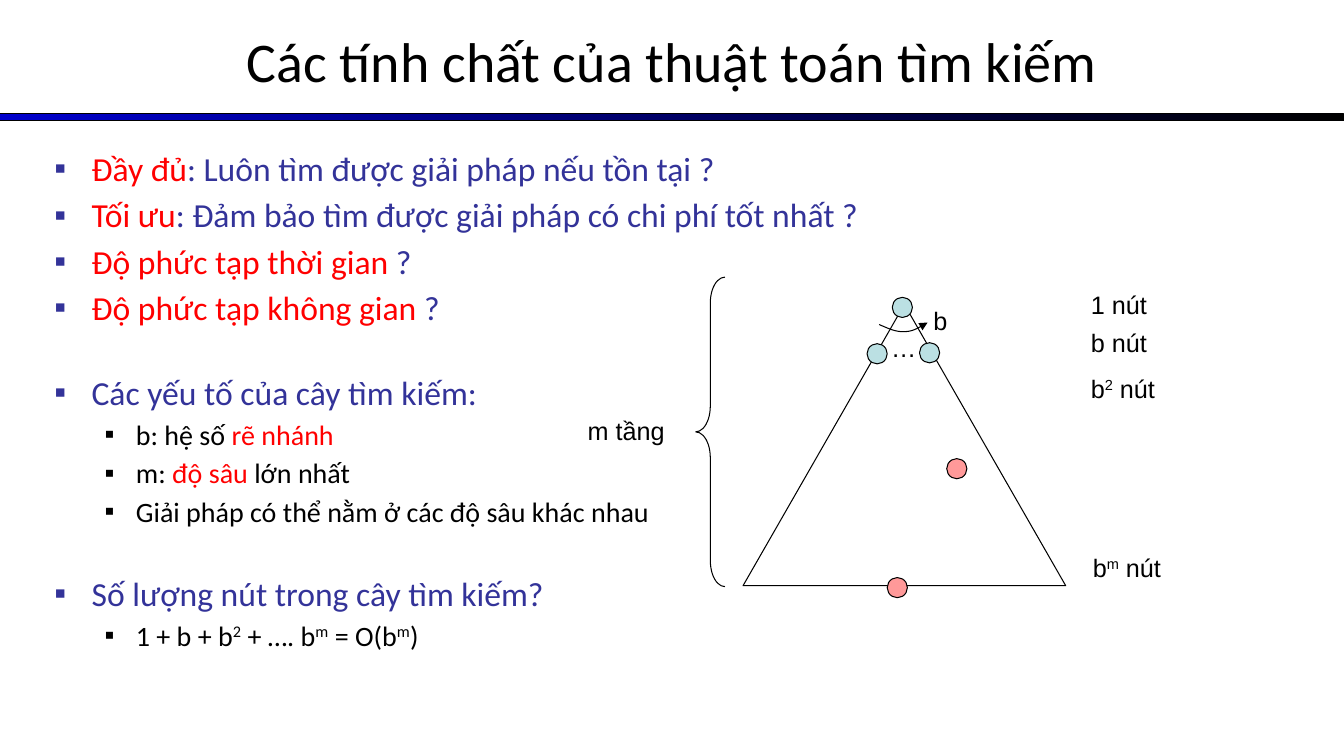
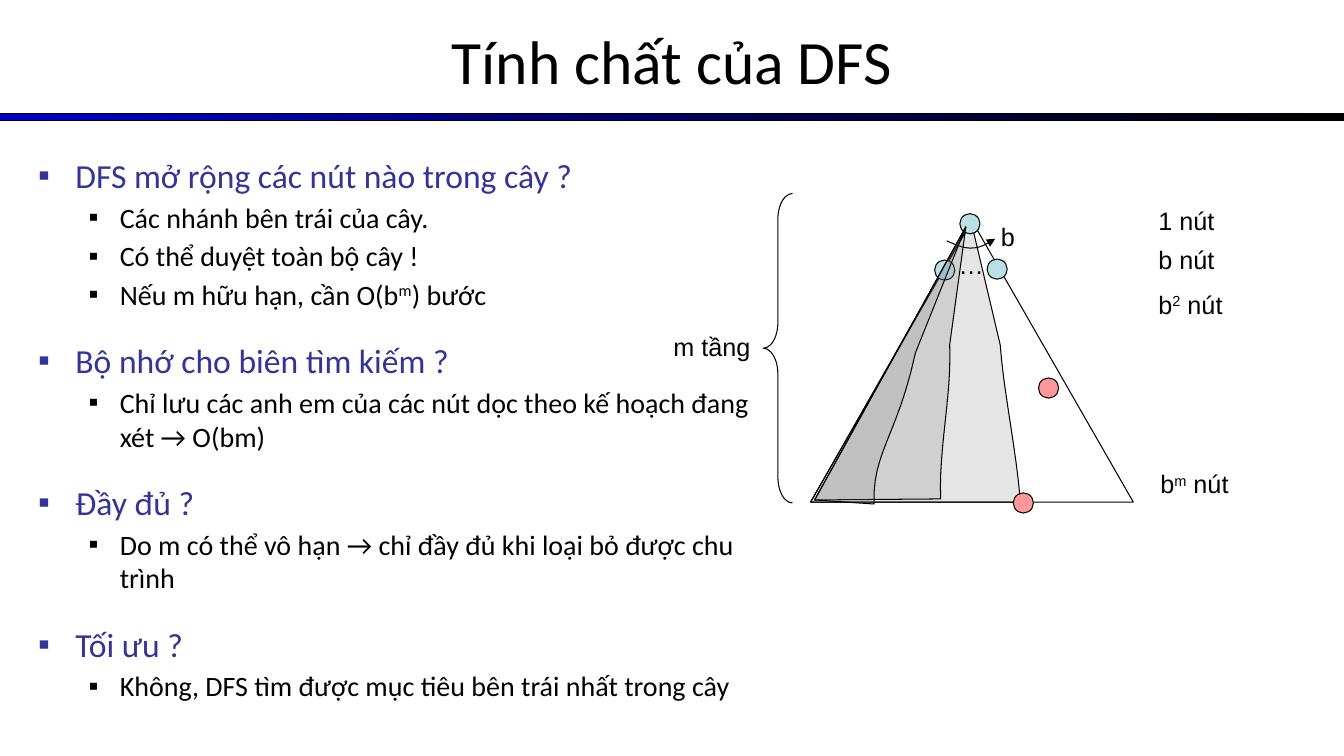
from lxml.etree import SubElement
from pptx import Presentation
from pptx.dml.color import RGBColor
from pptx.enum.shapes import MSO_SHAPE as Shape
from pptx.enum.text import MSO_ANCHOR as Anchor, PP_ALIGN as Align
from pptx.oxml.ns import qn
from pptx.util import Inches, Pt

COLORS = {
    "black": "000000",
    "band": "0000CC",
    "heading": "333399",
    "key": "FF0000",
    "node": "BBE0E3",
    "goal": "FF9999",
    "explored": "808080",
}
RGB = {name: RGBColor.from_string(value) for name, value in COLORS.items()}
LEVELS = [
    {"size": 24, "color": "heading", "margin": 0.37, "indent": -0.37, "before": 4.2},
    {"size": 20, "color": "black", "margin": 0.81, "indent": -0.31, "before": 3.5},
]
CURVE_STEPS = 12


def write(para, text, font, size, color):
    para.font.name = font
    para.font.size = Pt(size)
    para.font.color.rgb = RGB[color]
    for key_index, part in enumerate(text.split("*")):
        for raised_index, piece in enumerate(part.split("^")):
            if not piece:
                continue
            span = para.add_run()
            span.text = piece
            if key_index % 2:
                span.font.color.rgb = RGB["key"]
            if raised_index % 2:
                span._r.get_or_add_rPr().set("baseline", "30000")


def outline(page, start, segments, close):
    points = [start]
    for segment in segments:
        if len(segment) == 1:
            points += segment
            continue
        (x0, y0), ((x1, y1), (x2, y2), (x3, y3)) = points[-1], segment
        for step in range(1, CURVE_STEPS + 1):
            t = step / CURVE_STEPS
            u = 1 - t
            points.append((
                u**3 * x0 + 3 * u * u * t * x1 + 3 * u * t * t * x2 + t**3 * x3,
                u**3 * y0 + 3 * u * u * t * y1 + 3 * u * t * t * y2 + t**3 * y3,
            ))
    corners = [(Inches(x), Inches(y)) for x, y in points]
    builder = page.shapes.build_freeform(*corners[0])
    builder.add_line_segments(corners[1:], close=close)
    shape = builder.convert_to_shape()
    shape.shadow.inherit = False
    shape.line.color.rgb = RGB["black"]
    shape.line.width = Pt(0.75)
    if close:
        shape.fill.solid()
        shape.fill.fore_color.rgb = RGB["explored"]
        color = shape._element.spPr.find(qn("a:solidFill")).find(qn("a:srgbClr"))
        SubElement(color, qn("a:alpha"), val="20000")
    else:
        shape.fill.background()
    return shape


SLIDES = [
    {
        "title": "Các tính chất của thuật toán tìm kiếm",
        "title_size": 40,
        "body": (0.44, 1.42, 12.44, 5.17),
        "gap": 28,
        "sections": [
            ["*Đầy đủ*: Luôn tìm được giải pháp nếu tồn tại ?"],
            ["*Tối ưu*: Đảm bảo tìm được giải pháp có chi phí tốt nhất ?"],
            ["*Độ phức tạp thời gian *?"],
            ["*Độ phức tạp không gian *?"],
            ["Các yếu tố của cây tìm kiếm:", "b: hệ số *rẽ nhánh*",
             "m: *độ sâu *lớn nhất", "Giải pháp có thể nằm ở các độ sâu khác nhau"],
            ["Số lượng nút trong cây tìm kiếm?", "1 + b + b^2^ + …. b^m^ = O(b^m^)"],
        ],
        "spaced_from": 4,
        "tree": (7.37, 3.02),
        "goals": [(8.8, 5.73), (9.39, 4.55)],
        "depth_label": (5.73, 4.07),
        "back": [],
        "front": [],
    },
    {
        "title": "Tính chất của DFS",
        "title_size": 44,
        "body": (0.28, 1.49, 7.45, 5.17),
        "gap": 16.7,
        "sections": [
            ["DFS mở rộng các nút nào trong cây ?", "Các nhánh bên trái của cây.",
             "Có thể duyệt toàn bộ cây !", "Nếu m hữu hạn, cần O(b^m^) bước"],
            ["Bộ nhớ cho biên tìm kiếm ?",
             "Chỉ lưu các anh em của các nút dọc theo kế hoạch đang xét → O(bm)"],
            ["Đầy đủ ?", "Do m có thể vô hạn → chỉ đầy đủ khi loại bỏ được chu trình"],
            ["Tối ưu ?", "Không, DFS tìm được mục tiêu bên trái nhất trong cây"],
        ],
        "spaced_from": 1,
        "tree": (8.04, 2.19),
        "goals": [(10.05, 4.89), (10.3, 3.75)],
        "depth_label": (6.58, 3.24),
        "back": [
            ((8.04, 4.98), [[(10.12, 4.98)],
                            [(10.08, 4.46), (9.96, 3.93), (9.92, 3.42)],
                            [(9.63, 2.19)]]),
        ],
        "front": [
            ((8.08, 4.96), [[(9.33, 4.95)],
                            [(9.31, 4.44), (9.44, 3.93), (9.42, 3.42)],
                            [(9.58, 2.25)]]),
            ((8.08, 4.96), [[(8.67, 5)],
                            [(8.65, 4.49), (8.9, 4.33), (9.08, 3.5)],
                            [(9.58, 2.25)]]),
        ],
    },
]
NODES = [(1.48, -0.07), (1.23, 0.39), (1.75, 0.38)]
TREE_LABELS = [
    ("…", 1.37, 0.23, 0.3),
    ("b", 1.79, -0.04, 0.33),
    ("1 nút", 3.35, -0.2, 1.22),
    ("b nút", 3.35, 0.18, 1.22),
    ("b^2^ nút", 3.35, 0.63, 1.22),
    ("b^m^ nút", 3.37, 2.41, 1.6),
]
ARC = [(1.35, 0.2), (1.44, 0.24), (1.53, 0.28), (1.61, 0.27),
       (1.69, 0.27), (1.76, 0.22), (1.83, 0.18)]

deck = Presentation()
deck.slide_width = Inches(13.33)
deck.slide_height = Inches(7.5)

for content in SLIDES:
    page = deck.slides.add_slide(deck.slide_layouts[6])

    band = page.shapes.add_shape(Shape.RECTANGLE, 0, Inches(1.13), deck.slide_width, Inches(0.07))
    band.shadow.inherit = False
    band.fill.gradient()
    band.fill.gradient_angle = 0
    for stop, name in zip(band.fill.gradient_stops, ("band", "black")):
        stop.color.rgb = RGB[name]
    band.line.color.rgb = RGB["black"]
    band.line.width = Pt(0.75)

    title = page.shapes.add_textbox(0, Inches(-0.03), deck.slide_width, Inches(1.25))
    title.text_frame.word_wrap = True
    title.text_frame.vertical_anchor = Anchor.MIDDLE
    para = title.text_frame.paragraphs[0]
    para.alignment = Align.CENTER
    write(para, content["title"], "Calibri", content["title_size"], "black")

    body = page.shapes.add_textbox(*map(Inches, content["body"]))
    body.text_frame.word_wrap = True
    for section_index, section in enumerate(content["sections"]):
        for line_index, text in enumerate(section):
            first = section_index == line_index == 0
            para = body.text_frame.paragraphs[0] if first else body.text_frame.add_paragraph()
            para.level = min(line_index, 1)
            style = LEVELS[para.level]
            if not first:
                spaced = line_index == 0 and section_index >= content["spaced_from"]
                para.space_before = Pt(style["before"] + (content["gap"] if spaced else 0))
            props = para._p.get_or_add_pPr()
            props.set("marL", str(Inches(style["margin"])))
            props.set("indent", str(Inches(style["indent"])))
            bullet_color = SubElement(props, qn("a:buClr"))
            SubElement(bullet_color, qn("a:srgbClr"), val=COLORS[style["color"]])
            SubElement(props, qn("a:buFont"), typeface="Arial")
            SubElement(props, qn("a:buChar"), char="▪")
            write(para, text, "Calibri", style["size"], style["color"])

    for start, segments in content["back"]:
        outline(page, start, segments, True)

    left, top = content["tree"]
    parts = [(Shape.ISOSCELES_TRIANGLE, left, top, 3.2, 2.79, None),
             (Shape.LEFT_BRACE, left - 0.47, top - 0.27, 0.29, 3.07, None)]
    parts += [(Shape.OVAL, left + x, top + y, 0.2, 0.2, "node") for x, y in NODES]
    parts += [(Shape.OVAL, x, y, 0.2, 0.2, "goal") for x, y in content["goals"]]
    for kind, x, y, width, height, fill in parts:
        shape = page.shapes.add_shape(kind, Inches(x), Inches(y), Inches(width), Inches(height))
        shape.shadow.inherit = False
        shape.line.color.rgb = RGB["black"]
        shape.line.width = Pt(0.75)
        if fill:
            shape.fill.solid()
            shape.fill.fore_color.rgb = RGB[fill]
        else:
            shape.fill.background()
        if kind == Shape.LEFT_BRACE:
            shape.adjustments[0] = 0.884

    arc = [(left + x, top + y) for x, y in ARC]
    arrow = outline(page, arc[0], [arc[1:4], arc[4:]], False)
    SubElement(arrow.line._get_or_add_ln(), qn("a:tailEnd"), type="triangle")

    labels = [(text, left + x, top + y, width) for text, x, y, width in TREE_LABELS]
    labels.append(("m tầng", *content["depth_label"], 1.38))
    for text, x, y, width in labels:
        box = page.shapes.add_textbox(Inches(x), Inches(y), Inches(width), Inches(0.4))
        box.text_frame.word_wrap = True
        write(box.text_frame.paragraphs[0], text, "Arial", 18, "black")

    for start, segments in content["front"]:
        outline(page, start, segments, True)

deck.save("out.pptx")
